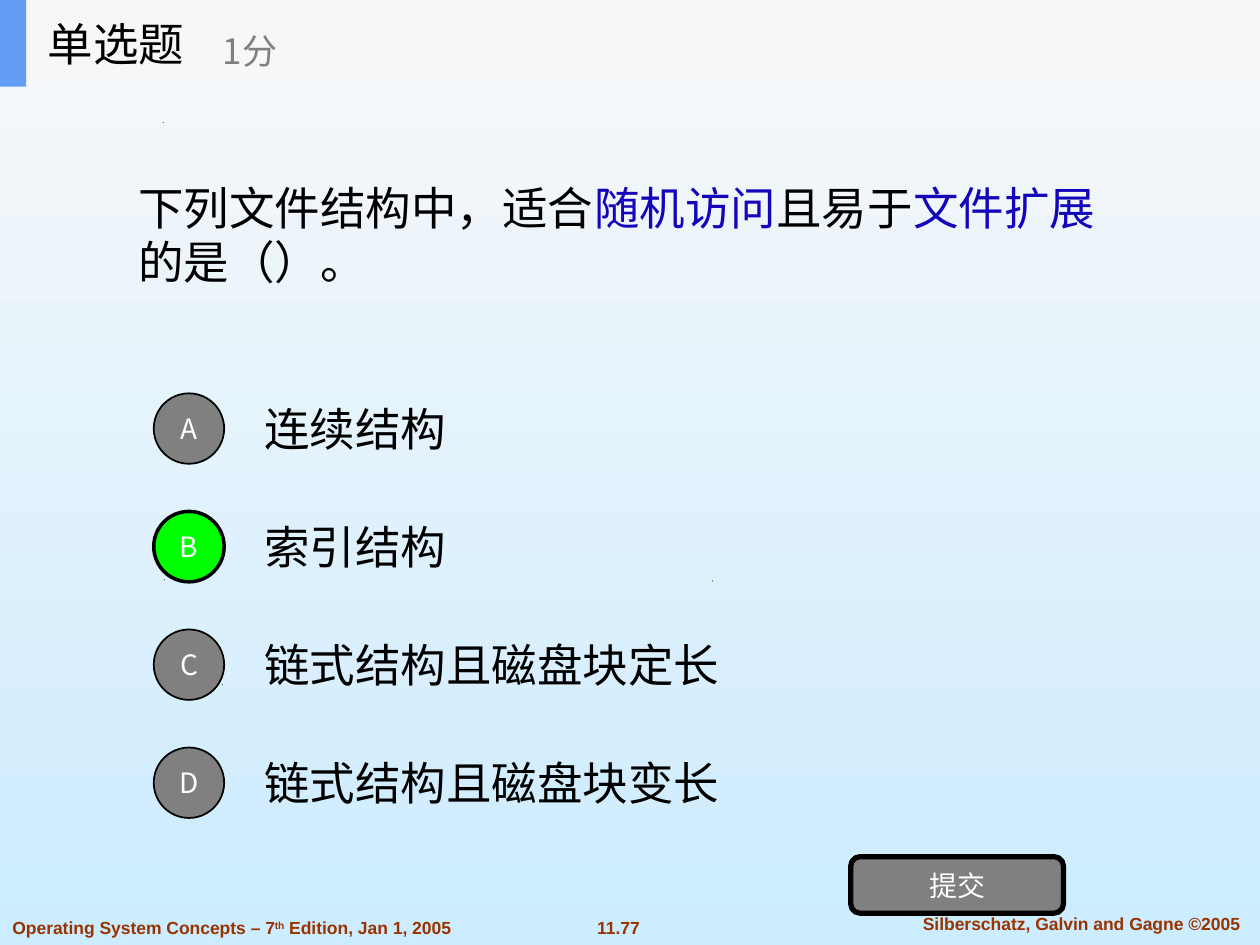
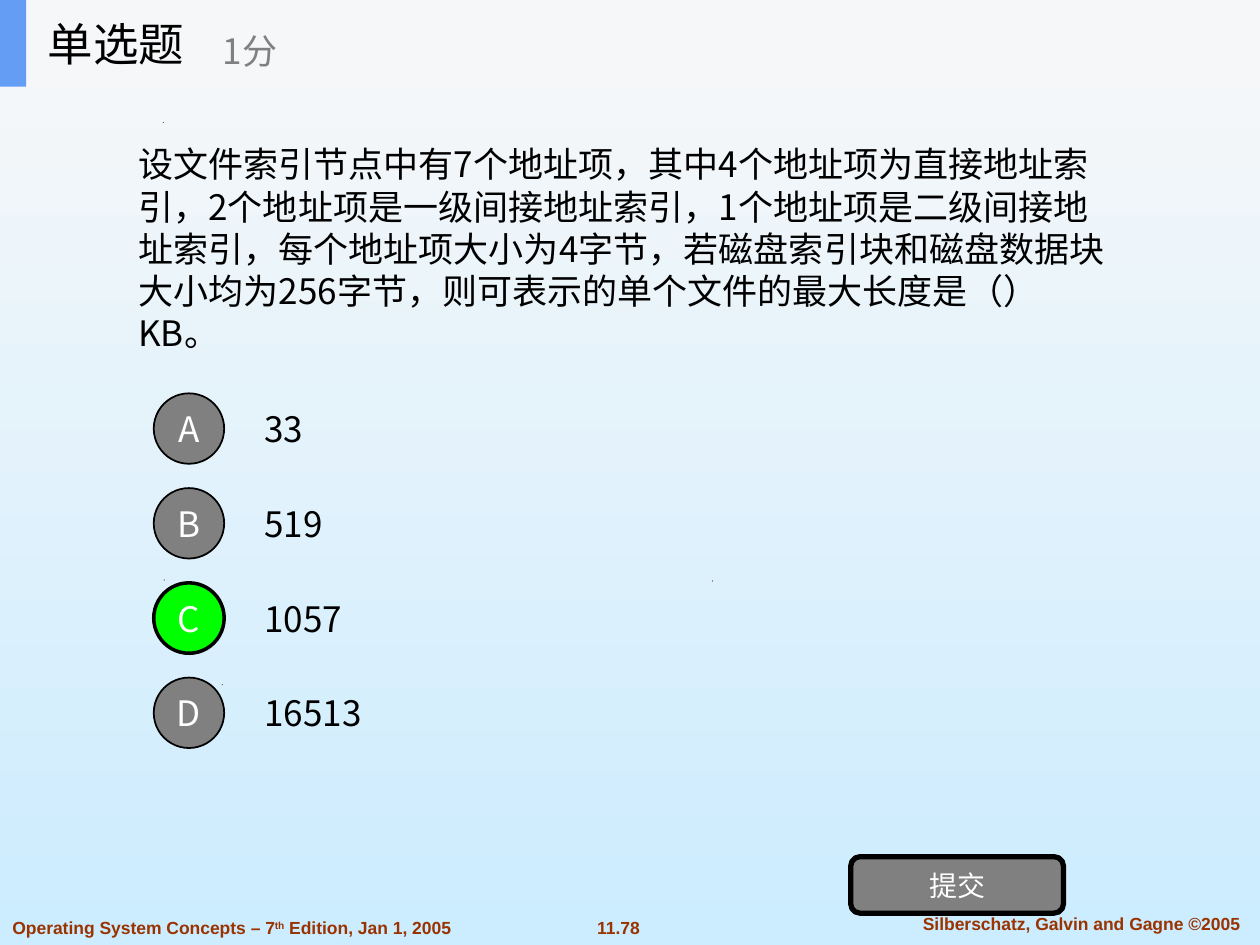
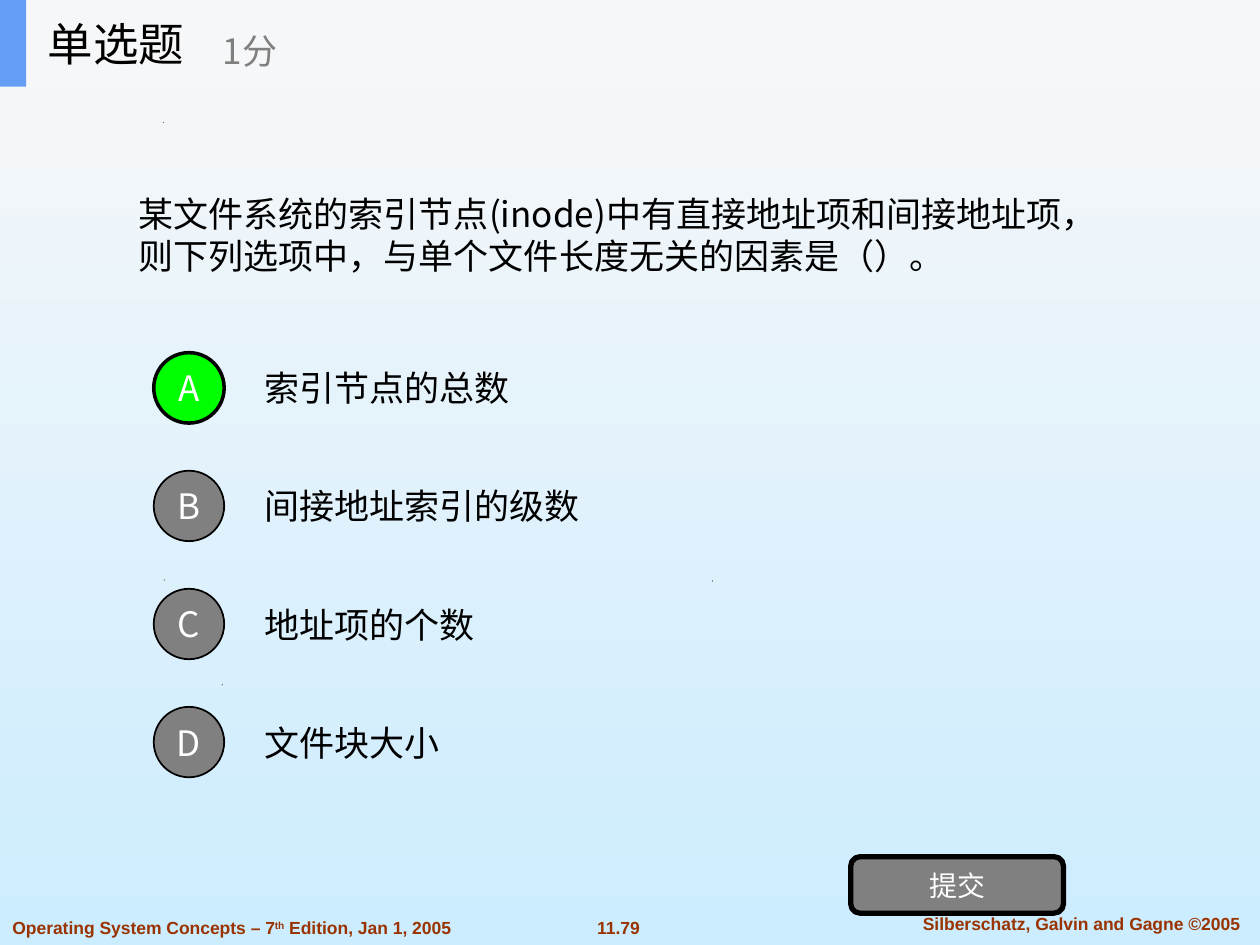
import lxml.etree
import pptx
import pptx.dml.color
import pptx.enum.lang
import pptx.enum.shapes
import pptx.enum.text
import pptx.oxml.ns
import pptx.util

Cm = pptx.util.Cm
RGBColor = pptx.dml.color.RGBColor
SHAPE = pptx.enum.shapes.MSO_SHAPE
ALIGN = pptx.enum.text.PP_ALIGN
ANCHOR = pptx.enum.text.MSO_ANCHOR

BLACK = RGBColor(0x00, 0x00, 0x00)
WHITE = RGBColor(0xFF, 0xFF, 0xFF)
GREY = RGBColor(0x80, 0x80, 0x80)
GREEN = RGBColor(0x00, 0xFF, 0x00)
KEYWORD_BLUE = RGBColor(0x13, 0x06, 0xBA)
ACCENT_BLUE = RGBColor(0x63, 0x9E, 0xF4)
HEADER_GREY = RGBColor(0xF6, 0xF7, 0xF8)
FOOTER_BROWN = RGBColor(0x99, 0x33, 0x00)
BACKGROUND_TOP = RGBColor(0xF8, 0xF8, 0xF8)
BACKGROUND_BOTTOM = RGBColor(0xCC, 0xEC, 0xFF)

CJK_FONT = "Noto Sans CJK SC"
FOOTER_FONT = "Arial"
HEADER_HEIGHT = 1.75
OPTION_HEIGHT = 1.78
CIRCLE_SIZE = 1.42
SPECK_SIZE = 0.02
SPECKS = [(4.47, 13.79), (3.3, 11.68), (14.35, 11.7), (3.28, 2.46)]
FIRST_PAGE = 77

QUESTIONS = [
    {
        "runs": [
            ("下列文件结构中，适合", BLACK),
            ("随机访问", KEYWORD_BLUE),
            ("且易于", BLACK),
            ("文件扩展", KEYWORD_BLUE),
            ("的是（）。", BLACK),
        ],
        "top": 1.75, "size": 26, "letter_size": 16,
        "options": ["连续结构", "索引结构", "链式结构且磁盘块定长", "链式结构且磁盘块变长"],
        "answer": "B", "first_option": 7.75, "pitch": 2.38,
    },
    {
        "runs": [(
            "设文件索引节点中有7个地址项，其中4个地址项为直接地址索引，"
            "2个地址项是一级间接地址索引，1个地址项是二级间接地址索引，"
            "每个地址项大小为4字节，若磁盘索引块和磁盘数据块大小均为256字节，"
            "则可表示的单个文件的最大长度是（） KB。", BLACK)],
        "top": 2.03, "size": 20, "letter_size": 20,
        "options": ["33", "519", "1057", "16513"],
        "answer": "C", "first_option": 7.75, "pitch": 1.91,
    },
    {
        "runs": [(
            "某文件系统的索引节点(inode)中有直接地址项和间接地址项，"
            "则下列选项中，与单个文件长度无关的因素是（）。", BLACK)],
        "top": 1.75, "size": 20, "letter_size": 20,
        "options": ["索引节点的总数", "间接地址索引的级数", "地址项的个数", "文件块大小"],
        "answer": "A", "first_option": 6.93, "pitch": 2.38,
    },
]


def add_text(shapes, box, runs, size, shape=None, align=ALIGN.LEFT, wrap=True, footer=False):
    shape = shape or shapes.add_textbox(*map(Cm, box))
    frame = shape.text_frame
    frame.word_wrap = wrap
    frame.vertical_anchor = ANCHOR.TOP if footer else ANCHOR.MIDDLE
    paragraph = frame.paragraphs[0]
    paragraph.alignment = align
    for text, color in runs:
        run = paragraph.add_run()
        run.text = text
        run.font.size = pptx.util.Pt(size)
        run.font.bold = footer
        run.font.color.rgb = color
        run.font.name = FOOTER_FONT if footer else CJK_FONT
        if not footer:
            run.font.language_id = pptx.enum.lang.MSO_LANGUAGE_ID.SIMPLIFIED_CHINESE
            east_asian = lxml.etree.SubElement(run.font._element, pptx.oxml.ns.qn("a:ea"))
            east_asian.set("typeface", CJK_FONT)
    return shape


def add_filled(shapes, kind, box, fill, line_width=0):
    shape = shapes.add_shape(kind, *map(Cm, box))
    shape.shadow.inherit = False
    shape.fill.solid()
    shape.fill.fore_color.rgb = fill
    if line_width:
        shape.line.color.rgb = BLACK
        shape.line.width = pptx.util.Pt(line_width)
    else:
        shape.line.fill.background()
    return shape


presentation = pptx.Presentation()
presentation.slide_width = Cm(25.4)
presentation.slide_height = Cm(19.05)

background = presentation.slide_master.background.fill
background.gradient()
background.gradient_angle = 270
for stop, color in zip(background.gradient_stops, (BACKGROUND_TOP, BACKGROUND_BOTTOM)):
    stop.color.rgb = color

for page, question in enumerate(QUESTIONS, FIRST_PAGE):
    slide = presentation.slides.add_slide(presentation.slide_layouts[6])
    shapes = slide.shapes

    add_text(shapes, (11.76, 18.36, 1.42, 0.69), [(f"11.{page}", FOOTER_BROWN)], 10,
             align=ALIGN.CENTER, wrap=False, footer=True)
    add_text(shapes, (18.03, 18.29, 7.54, 0.69),
             [("Silberschatz, Galvin and Gagne ©2005", FOOTER_BROWN)], 10,
             align=ALIGN.CENTER, footer=True)
    edition = add_text(
        shapes, (0, 18.36, 9.37, 0.69),
        [(text, FOOTER_BROWN) for text in
         ("Operating System Concepts – 7", "th", " Edition, Jan 1, 2005")],
        10, wrap=False, footer=True)
    ordinal = edition.text_frame.paragraphs[0].runs[1]
    ordinal.font._element.set("baseline", "30000")

    for left, top in SPECKS:
        builder = shapes.build_freeform(Cm(left), Cm(top + SPECK_SIZE))
        builder.add_line_segments(
            [(Cm(left + SPECK_SIZE), Cm(top)),
             (Cm(left + SPECK_SIZE), Cm(top + SPECK_SIZE))])
        speck = builder.convert_to_shape()
        speck.shadow.inherit = False
        speck.fill.solid()
        speck.fill.fore_color.rgb = BLACK
        speck.line.fill.background()

    add_text(shapes, (2.54, question["top"], 20.32, 5.94), question["runs"], question["size"])

    for index, (letter, option) in enumerate(zip("ABCD", question["options"])):
        top = question["first_option"] + index * question["pitch"]
        correct = letter == question["answer"]
        add_text(shapes, (5.08, top, 17.78, OPTION_HEIGHT), [(option, BLACK)], question["size"])
        circle_box = (3.1, top + (OPTION_HEIGHT - CIRCLE_SIZE) / 2, CIRCLE_SIZE, CIRCLE_SIZE)
        circle = add_filled(shapes, SHAPE.OVAL, circle_box,
                            GREEN if correct else GREY, 2 if correct else 1)
        add_text(shapes, circle_box, [(letter, WHITE)], question["letter_size"],
                 shape=circle, align=ALIGN.CENTER, wrap=False)

    button_box = (17.15, 17.27, 4.29, 1.14)
    button = add_filled(shapes, SHAPE.ROUNDED_RECTANGLE, button_box, GREY, 3)
    add_text(shapes, button_box, [("提交", WHITE)], 16,
             shape=button, align=ALIGN.CENTER, wrap=False)

    header = shapes.add_group_shape().shapes
    add_filled(header, SHAPE.RECTANGLE, (0, 0, 25.4, HEADER_HEIGHT), HEADER_GREY)
    add_filled(header, SHAPE.RECTANGLE, (0, 0, 0.53, HEADER_HEIGHT), ACCENT_BLUE)
    add_text(header, (0.71, 0, 5.28, HEADER_HEIGHT), [("单选题", BLACK)], 26)
    add_text(header, (4.24, 0.3, 6.35, 1.42), [("1分", GREY)], 20)

presentation.save("out.pptx")
